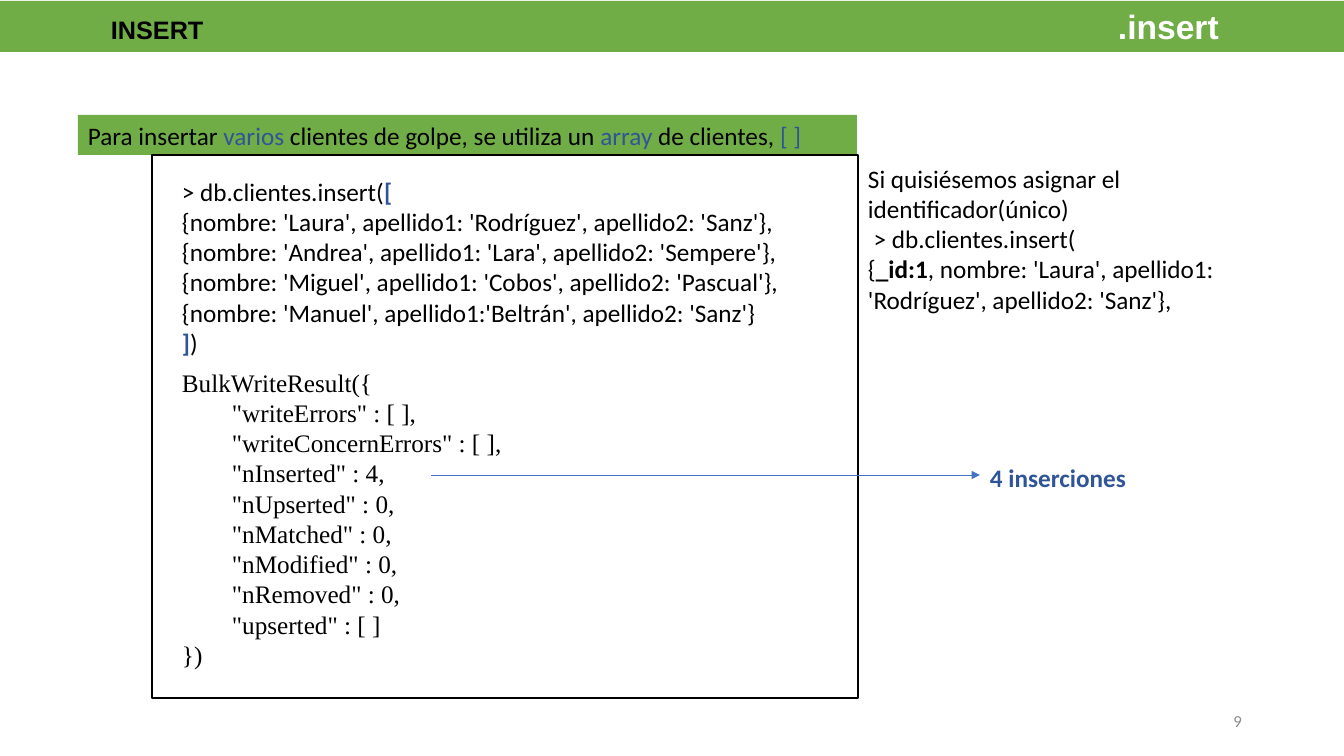
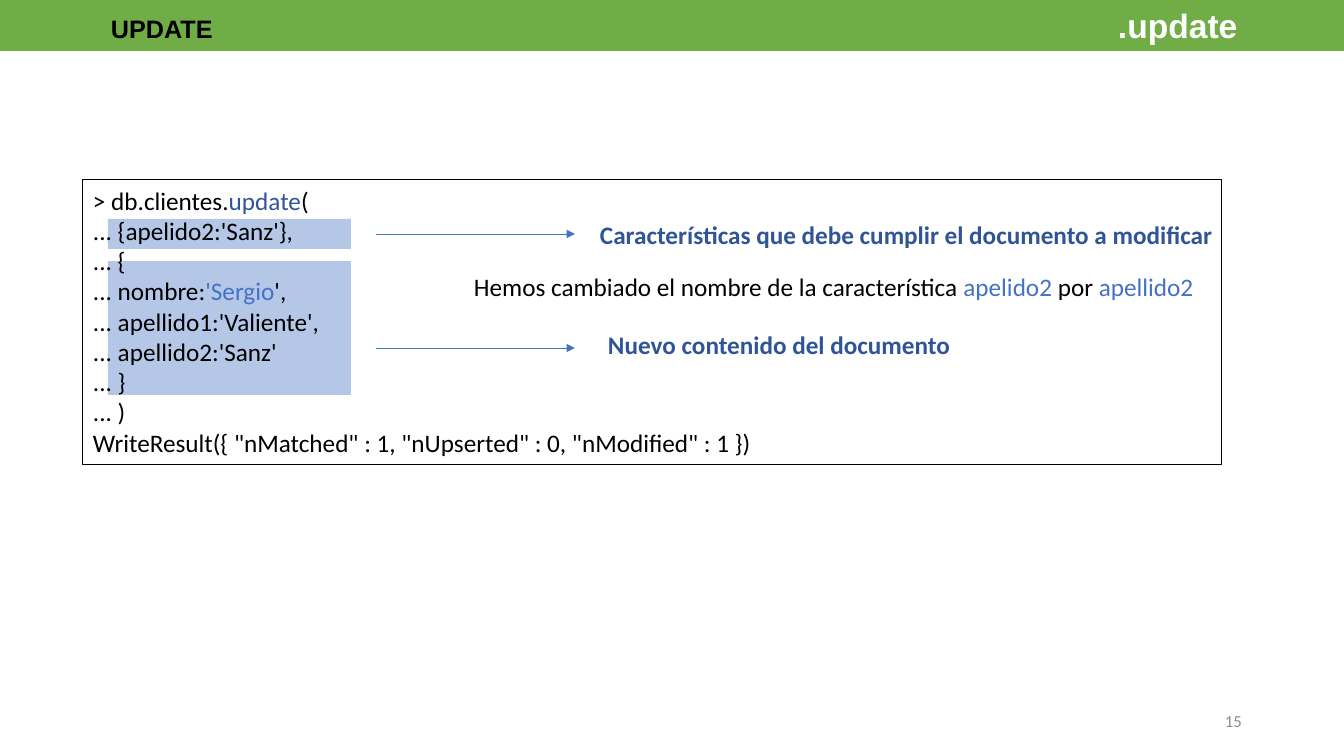
from dataclasses import dataclass

from lxml import etree
from pptx import Presentation
from pptx.dml.color import RGBColor
from pptx.enum.shapes import MSO_CONNECTOR, MSO_SHAPE
from pptx.enum.text import MSO_ANCHOR, MSO_AUTO_SIZE, PP_ALIGN
from pptx.oxml.ns import qn
from pptx.util import Emu, Pt

RECTANGLE = MSO_SHAPE.RECTANGLE
STRAIGHT = MSO_CONNECTOR.STRAIGHT
TOP, MIDDLE = MSO_ANCHOR.TOP, MSO_ANCHOR.MIDDLE
LEFT, RIGHT = PP_ALIGN.LEFT, PP_ALIGN.RIGHT
NO_AUTOFIT = MSO_AUTO_SIZE.NONE
EMU_PER_INCH = 914400
PIXELS_PER_INCH = 100.8
TITLE_ONLY = 5
SLIDE_WIDTH, SLIDE_HEIGHT = 1344, 756
BAND_HEIGHT = 51
TOPIC_LEFT, COMMAND_LEFT = 111, 1118


@dataclass(frozen=True)
class Theme:
    black: str = "000000"
    white: str = "FFFFFF"
    green: str = "70AD47"
    navy: str = "2F5597"
    blue: str = "4472C4"
    pale_blue: str = "B4C7E7"
    gray: str = "8C8C8C"
    body_font: str = "Calibri"
    title_font: str = "Arial"
    result_font: str = "Times New Roman"
    body_size: int = 18
    command_size: int = 24
    number_size: int = 12
    arrow_width: float = 0.5


THEME = Theme()
NAVY = {"color": THEME.navy}
BLUE = {"color": THEME.blue}
BOLD = {"bold": True}
NAVY_BOLD = {**NAVY, **BOLD}


def px(pixels):
    return Emu(round(pixels * EMU_PER_INCH / PIXELS_PER_INCH))


def box(left, top, width, height):
    return px(left), px(top), px(width), px(height)


def add_run(paragraph, text, font=THEME.body_font, size=THEME.body_size,
            color=THEME.black, bold=False):
    run = paragraph.add_run()
    run.text = text
    run.font.name = font
    run.font.size = Pt(size)
    run.font.bold = bold
    run.font.color.rgb = RGBColor.from_string(color)


def write_lines(shape, lines, align=LEFT, anchor=TOP, inset_left=10,
                inset_top=5, **style):
    frame = shape.text_frame
    frame.word_wrap = True
    frame.auto_size = NO_AUTOFIT
    frame.vertical_anchor = anchor
    frame.margin_left, frame.margin_top = px(inset_left), px(inset_top)
    frame.margin_right, frame.margin_bottom = px(10), px(5)
    for index, line in enumerate(lines):
        paragraph = frame.add_paragraph() if index else frame.paragraphs[0]
        paragraph.alignment = align
        pieces = [line] if isinstance(line, str) else line
        for piece in pieces:
            text, changes = (piece, {}) if isinstance(piece, str) else piece
            add_run(paragraph, text, **{**style, **changes})
    return frame


def add_text(slide, bounds, lines, **style):
    return write_lines(slide.shapes.add_textbox(*box(*bounds)), lines, **style)


def add_panel(slide, bounds, fill=None, line_width=None):
    panel = slide.shapes.add_shape(RECTANGLE, *box(*bounds))
    panel.shadow.inherit = False
    if fill:
        panel.fill.solid()
        panel.fill.fore_color.rgb = RGBColor.from_string(fill)
    else:
        panel.fill.background()
    if line_width:
        panel.line.color.rgb = RGBColor.from_string(THEME.black)
        panel.line.width = Pt(line_width)
    else:
        panel.line.fill.background()
    return panel


def add_arrow(slide, left, right, y):
    arrow = slide.shapes.add_connector(STRAIGHT, px(left), px(y), px(right), px(y))
    arrow.line.color.rgb = RGBColor.from_string(THEME.blue)
    arrow.line.width = Pt(THEME.arrow_width)
    properties = arrow._element.spPr
    etree.SubElement(properties.find(qn("a:ln")), qn("a:tailEnd"), type="triangle")
    etree.SubElement(properties, qn("a:effectLst"))


def indent_paragraph(paragraph, pixels):
    properties = paragraph._p.get_or_add_pPr()
    properties.set("marL", str(px(pixels)))
    properties.set("indent", "0")


def add_title_band(slide, topic, command, top=0):
    title = slide.shapes.title
    title.left, title.top, title.width, title.height = box(
        0, top, SLIDE_WIDTH, BAND_HEIGHT)
    title.fill.solid()
    title.fill.fore_color.rgb = RGBColor.from_string(THEME.green)
    command_style = {"size": THEME.command_size, "color": THEME.white}
    frame = write_lines(title, [[topic + "\t", (command, command_style)]],
                        inset_left=TOPIC_LEFT, font=THEME.title_font, bold=True)
    properties = frame.paragraphs[0]._p.get_or_add_pPr()
    tabs = etree.SubElement(properties, qn("a:tabLst"))
    etree.SubElement(tabs, qn("a:tab"), algn="l",
                     pos=str(px(COMMAND_LEFT - TOPIC_LEFT)))


def add_slide(presentation, topic, command, number, band_top=0):
    slide = presentation.slides.add_slide(presentation.slide_layouts[TITLE_ONLY])
    add_title_band(slide, topic, command, band_top)
    add_text(slide, (950, 701, 302, 40), [number], align=RIGHT, anchor=MIDDLE,
             size=THEME.number_size, color=THEME.gray)
    return slide


def build_insert_slide(presentation):
    slide = add_slide(presentation, "INSERT", ".insert", "9", band_top=1)

    result = add_panel(slide, (172, 332, 848, 346), fill=THEME.white)
    fields = [
        '"writeErrors" : [ ],',
        '"writeConcernErrors" : [ ],',
        '"nInserted" : 4,',
        '"nUpserted" : 0,',
        '"nMatched" : 0,',
        '"nModified" : 0,',
        '"nRemoved" : 0,',
        '"upserted" : [ ]',
    ]
    frame = write_lines(result, ["BulkWriteResult({", *fields, "})"],
                        inset_top=35, font=THEME.result_font)
    for paragraph in frame.paragraphs[1:-1]:
        indent_paragraph(paragraph, 50)

    add_text(slide, (172, 171, 706, 194), [
        ["> db.clientes.insert(", ("[", NAVY_BOLD)],
        "{nombre: 'Laura', apellido1: 'Rodríguez', apellido2: 'Sanz'},",
        "{nombre: 'Andrea', apellido1: 'Lara', apellido2: 'Sempere'},",
        "{nombre: 'Miguel', apellido1: 'Cobos', apellido2: 'Pascual'},",
        "{nombre: 'Manuel', apellido1:'Beltrán', apellido2: 'Sanz'}",
        [("]", NAVY_BOLD), ")"],
    ])
    heading = add_panel(slide, (78, 115, 779, 40), fill=THEME.green)
    write_lines(heading, [[
        "Para insertar ", ("varios", NAVY),
        " clientes de golpe, se utiliza un ", ("array", NAVY),
        " de clientes, ", ("[ ]", NAVY),
    ]])
    add_panel(slide, (152, 155, 706, 543), line_width=1)
    add_arrow(slide, 431, 980, 475)
    add_text(slide, (980, 457, 245, 40), ["4 inserciones"], **NAVY_BOLD)
    add_text(slide, (858, 158, 440, 163), [
        "Si quisiésemos asignar el identificador(único)",
        " > db.clientes.insert(",
        ["{", ("_id:1", BOLD),
         ", nombre: 'Laura', apellido1: 'Rodríguez', apellido2: 'Sanz'},"],
    ])


def build_update_slide(presentation):
    slide = add_slide(presentation, "UPDATE", ".update", "15")

    for top, height in ((261, 134), (219, 30)):
        add_panel(slide, (108, top, 243, height), fill=THEME.pale_blue)

    code = add_panel(slide, (83, 180, 1139, 285), line_width=0.75)
    write_lines(code, [
        ["> db.clientes.", ("update", NAVY), "("],
        "... {apelido2:'Sanz'},",
        "... {",
        ["... nombre:", ("'Sergio", BLUE), "',"],
        "... apellido1:'Valiente',",
        "... apellido2:'Sanz'",
        "... }",
        "... )",
        'WriteResult({ "nMatched" : 1, "nUpserted" : 0, "nModified" : 1 })',
    ])

    explanations = (
        (234, 590, 214, "Características que debe cumplir el documento a modificar"),
        (348, 598, 324, "Nuevo contenido del documento"),
    )
    for arrow_y, left, top, text in explanations:
        add_arrow(slide, 376, 575, arrow_y)
        add_text(slide, (left, top, 679, 40), [text], **NAVY_BOLD)

    add_text(slide, (464, 266, 757, 40), [[
        "Hemos cambiado el nombre de la característica ", ("apelido2", BLUE),
        " por ", ("apellido2", BLUE),
    ]])


def main():
    presentation = Presentation()
    presentation.slide_width = px(SLIDE_WIDTH)
    presentation.slide_height = px(SLIDE_HEIGHT)
    build_insert_slide(presentation)
    build_update_slide(presentation)
    presentation.save("out.pptx")


main()
